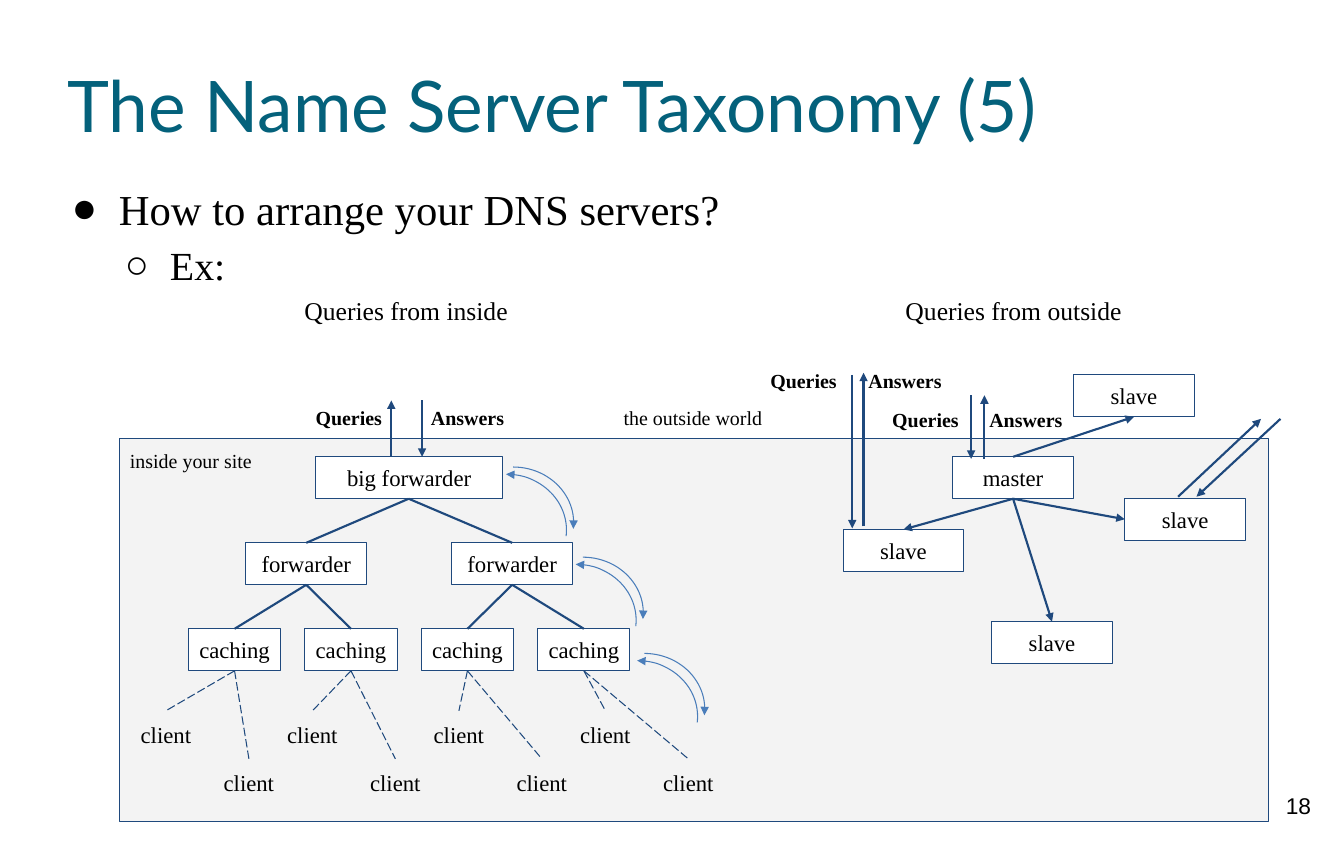
import pptx
import pptx.util
import pptx.dml.color
import pptx.enum.dml
import pptx.enum.shapes
import pptx.enum.text
import pptx.oxml
import pptx.oxml.ns

Inches = pptx.util.Inches
Pt = pptx.util.Pt
Shape = pptx.enum.shapes.MSO_SHAPE
Anchor = pptx.enum.text.MSO_ANCHOR
Align = pptx.enum.text.PP_ALIGN

SERIF = "Times New Roman"
NAVY = "1F497D"
BLUE = "4A7DBA"
TEAL = "04617B"
BLACK = "000000"
WHITE = "FFFFFF"
GREY = "F3F3F3"

BOX_H = 0.41
NODE_W = 1.18
CACHE_W = 0.9


def color(code):
    return pptx.dml.color.RGBColor.from_string(code)


def add_tag(parent, name, **attrs):
    """Append one DrawingML element."""
    tag = pptx.oxml.parse_xml(f"<a:{name} {pptx.oxml.ns.nsdecls('a')}/>")
    for key, value in attrs.items():
        tag.set(key, str(value))
    parent.append(tag)


def put_text(frame, text, size=16, font=SERIF, fill=BLACK, bold=False,
             align=Align.CENTER, anchor=Anchor.TOP, inset=0.1):
    frame.word_wrap = True
    frame.vertical_anchor = anchor
    frame.margin_left = frame.margin_right = Inches(inset)
    frame.margin_top = frame.margin_bottom = Inches(inset)
    para = frame.paragraphs[0]
    para.alignment = align
    style(para, text, size, font, fill, bold)


def style(para, text, size, font=SERIF, fill=BLACK, bold=False):
    run = para.add_run()
    run.text = text
    run.font.size = Pt(size)
    run.font.name = font
    run.font.bold = bold
    run.font.color.rgb = color(fill)


def add_label(slide, text, x, y, w, h, **form):
    box = slide.shapes.add_textbox(Inches(x), Inches(y), Inches(w), Inches(h))
    put_text(box.text_frame, text, **form)


def add_box(slide, text, x, y, w=NODE_W, h=BOX_H, fill=WHITE, **form):
    box = slide.shapes.add_shape(Shape.RECTANGLE, Inches(x), Inches(y),
                                 Inches(w), Inches(h))
    box.shadow.inherit = False
    box.fill.solid()
    box.fill.fore_color.rgb = color(fill)
    box.line.color.rgb = color(NAVY)
    box.line.width = Pt(0.75)
    put_text(box.text_frame, text, **{"anchor": Anchor.MIDDLE, **form})


def add_line(slide, start, end, width=1.5, dash=False, arrow=False):
    line = slide.shapes.add_connector(
        pptx.enum.shapes.MSO_CONNECTOR.STRAIGHT,
        *(Inches(n) for n in (*start, *end)))
    line.line.color.rgb = color(NAVY)
    line.line.width = Pt(width)
    if dash:
        line.line.dash_style = pptx.enum.dml.MSO_LINE.LONG_DASH
    if arrow:
        add_tag(line.line._get_or_add_ln(), "tailEnd", type="triangle")
    add_tag(line._element.spPr, "effectLst")


def add_arc(slide, x, y, tip):
    arc = slide.shapes.add_shape(Shape.ARC, Inches(x), Inches(y),
                                 Inches(1.18), Inches(1.09))
    arc.shadow.inherit = False
    arc.adjustments[0] = 162
    arc.adjustments[1] = 3.43
    arc.fill.background()
    arc.line.color.rgb = color(BLUE)
    arc.line.width = Pt(0.75)
    add_tag(arc.line._get_or_add_ln(), tip, type="triangle")


def add_points(slide, points):
    box = slide.shapes.add_textbox(Inches(0.66), Inches(1.71),
                                   Inches(11.84), Inches(1.05))
    frame = box.text_frame
    frame.word_wrap = True
    frame.margin_left = frame.margin_right = 0
    frame.margin_top = frame.margin_bottom = 0
    for level, (text, mark, size, left, hang) in enumerate(points):
        para = frame.paragraphs[0] if level == 0 else frame.add_paragraph()
        para.level = level
        para.line_spacing = 1.15
        props = para._p.get_or_add_pPr()
        props.set("marL", str(Inches(left)))
        props.set("indent", str(-Inches(hang)))
        add_tag(props, "buFont", typeface=SERIF)
        add_tag(props, "buChar", char=mark)
        style(para, text, size)


def add_inside(slide):
    """Forwarder tree with its caching servers and clients."""
    root = 3.99
    add_box(slide, "big forwarder", 3.08, 4.46, w=1.83)
    for side in range(2):
        mid = 2.99 + 2.01 * side
        add_box(slide, "forwarder", mid - NODE_W / 2, 5.3)
        add_line(slide, (root, 4.87), (mid, 5.3))
        for leaf in range(2):
            i = 2 * side + leaf
            cache = 2.29 + 3.41 * i / 3
            add_box(slide, "caching", cache - CACHE_W / 2, 6.14, w=CACHE_W)
            add_line(slide, (mid, 5.71), (cache, 6.14))
            for step in range(2):
                x = 1.62 + 1.43 * i + 0.81 * step
                y = 6.94 + 0.47 * step
                add_label(slide, "client", x - 0.45, y, 0.9, 0.47)
                add_line(slide, (cache, 6.55), (x, y), width=0.75, dash=True)

    # Curved query and answer arrows between the levels
    for x, y in ((4.42, 4.56), (5.1, 5.44), (5.7, 6.38)):
        add_arc(slide, x, y, "tailEnd")
        add_arc(slide, x - 0.07, y + 0.07, "headEnd")


def add_outside(slide):
    """Master with its four slaves."""
    add_box(slide, "master", 9.3, 4.46)
    low, high = (9.89, 4.87), (9.89, 4.46)
    for x, y, start, end in ((8.23, 5.17, low, (8.82, 5.17)),
                             (9.68, 6.07, low, (10.27, 6.07)),
                             (10.98, 4.87, low, (10.98, 5.07)),
                             (10.48, 3.66, high, (11.07, 4.07))):
        add_box(slide, "slave", x, y)
        add_line(slide, start, end, arrow=True)


def add_flows(slide):
    """Query and answer arrows that cross the site border."""
    for start, end in (((3.82, 4.46), (3.82, 3.91)),
                       ((4.12, 3.91), (4.12, 4.46)),
                       ((9.61, 4.48), (9.61, 3.86)),
                       ((9.48, 3.86), (9.48, 4.48)),
                       ((8.43, 5.14), (8.43, 3.64)),
                       ((8.32, 3.66), (8.32, 5.16)),
                       ((11.5, 4.85), (12.31, 4.09)),
                       ((12.5, 4.09), (11.68, 4.85))):
        add_line(slide, start, end, arrow=True)
    for ask, reply, y in ((2.87, 4.03, 3.86), (8.5, 9.48, 3.88),
                          (7.31, 8.3, 3.5)):
        for text, x in (("Queries", ask), ("Answers", reply)):
            add_label(slide, text, x, y, 1.07, 0.44, size=14, bold=True)


def main():
    deck = pptx.Presentation()
    deck.slide_width = Inches(13.12)
    deck.slide_height = Inches(8.27)
    slide = deck.slides.add_slide(deck.slide_layouts[6])

    # Site area, title and points
    add_box(slide, "inside your site", 1.17, 4.28, w=11.21, h=3.74, fill=GREY,
            size=14, align=Align.LEFT, anchor=Anchor.TOP)
    add_label(slide, "18", 12.28, 7.63, 0.79, 0.63, font="Arial")
    add_label(slide, "The Name Server Taxonomy (5)", 0.66, 0.33, 11.81, 1.38,
              size=50, font="Lato", fill=TEAL, align=Align.LEFT,
              anchor=Anchor.MIDDLE, inset=0)
    add_points(slide, (("How to arrange your DNS servers?", "●", 30, 0.5, 0.46),
                       ("Ex:", "○", 28, 1, 0.44)))

    # Diagram
    add_inside(slide)
    add_outside(slide)
    add_flows(slide)
    for text, x in (("Queries from inside", 2.73),
                    ("Queries from outside", 8.66)):
        add_label(slide, text, x, 2.78, 2.47, 0.5, size=18)
    add_label(slide, "the outside world", 5.99, 3.86, 1.6, 0.44, size=14,
              align=Align.LEFT)

    deck.save("out.pptx")


if __name__ == "__main__":
    main()
